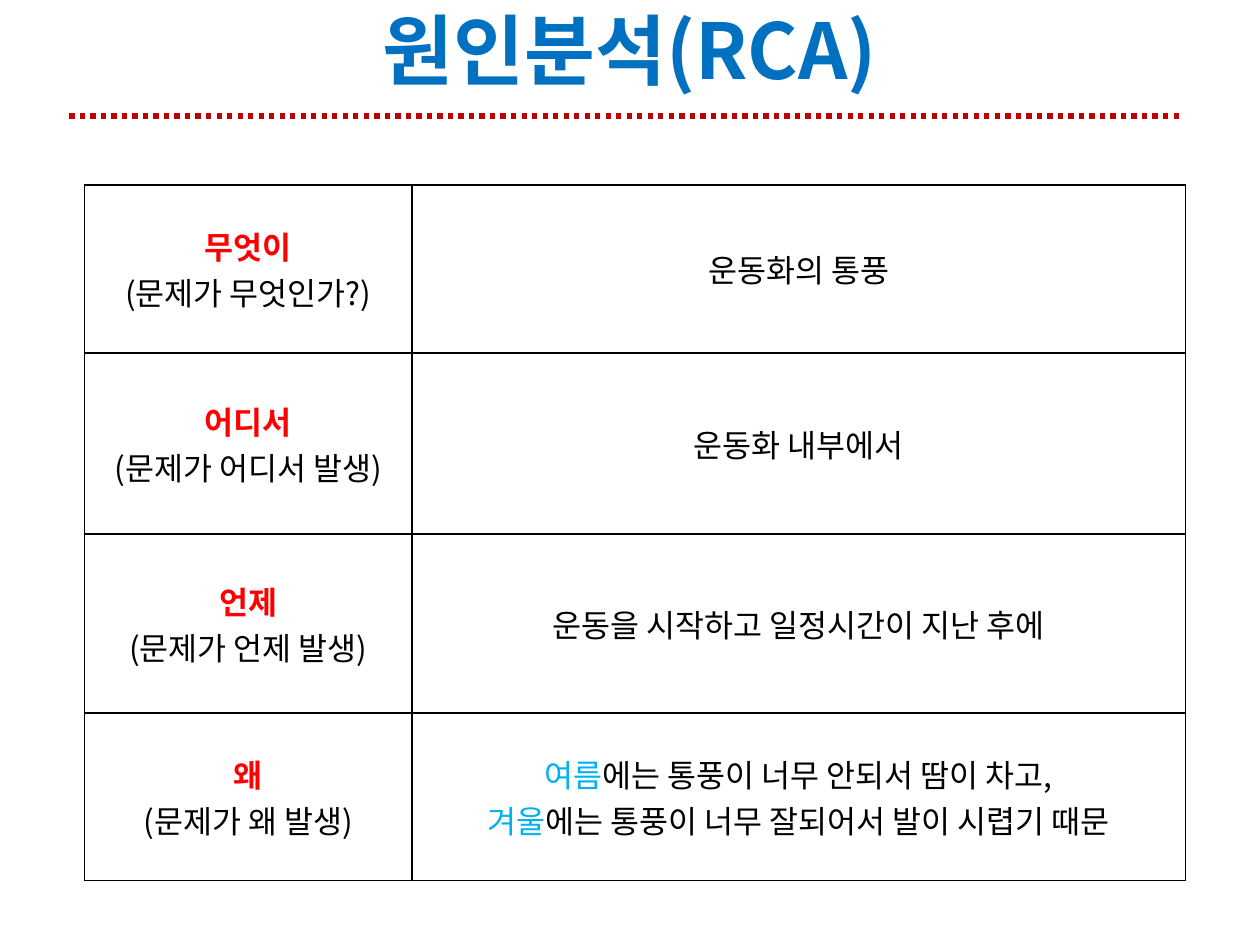
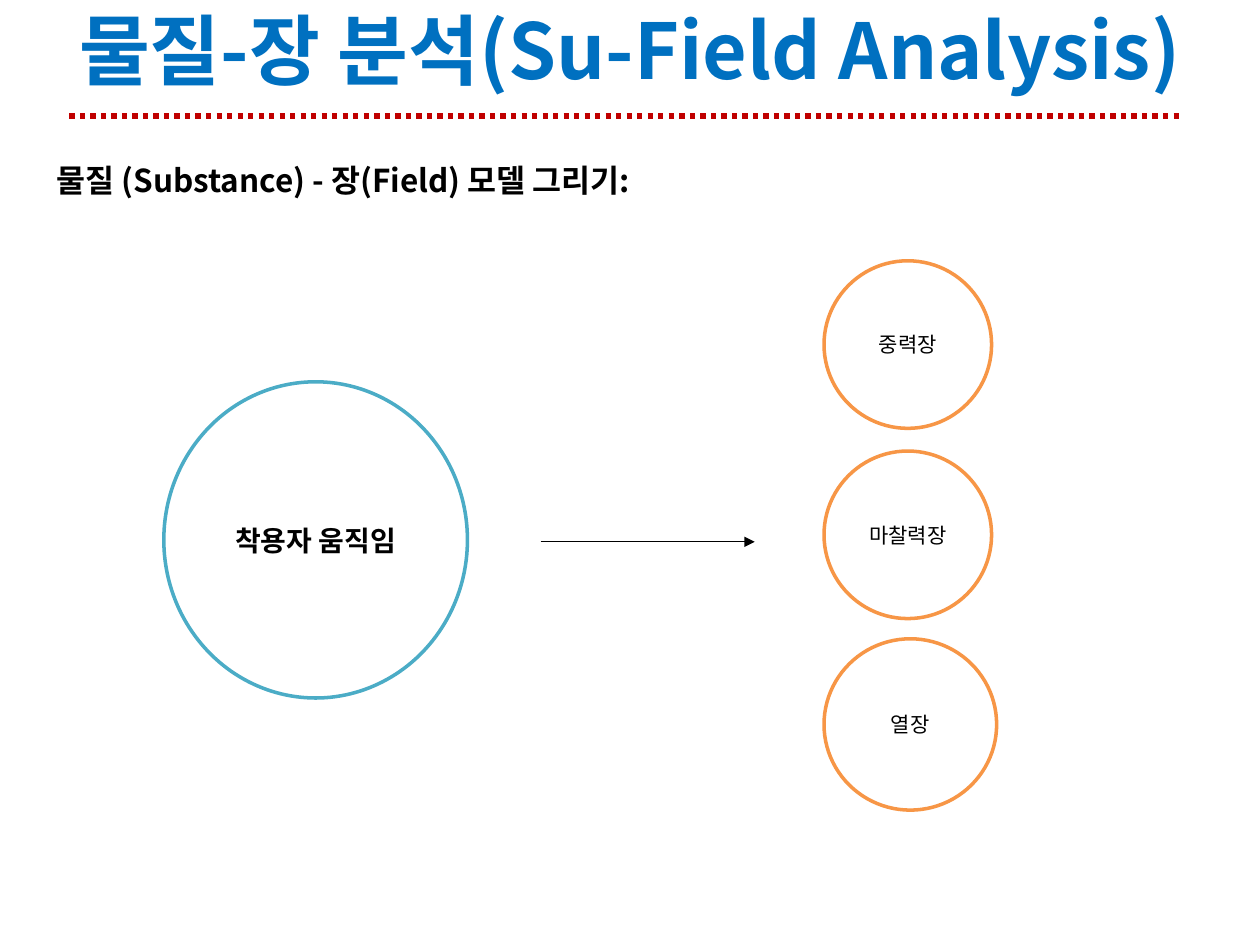
"""Build two slides: a root cause table and a substance-field model."""
from lxml.etree import SubElement
from pptx import Presentation
from pptx.dml.color import RGBColor
from pptx.enum.dml import MSO_LINE
from pptx.enum.shapes import MSO_CONNECTOR, MSO_SHAPE
from pptx.enum.text import MSO_ANCHOR, PP_ALIGN
from pptx.oxml import parse_xml
from pptx.oxml.ns import nsdecls, qn
from pptx.util import Inches, Pt

FONT = "Noto Sans CJK KR"
BLACK = RGBColor(0, 0, 0)
WHITE = RGBColor(255, 255, 255)
RED = RGBColor(255, 0, 0)
BLUE = RGBColor(0x00, 0x70, 0xC0)
SKY = RGBColor(0x00, 0xB0, 0xF0)
CRIMSON = RGBColor(0xC0, 0, 0)
ORANGE = RGBColor(0xF7, 0x96, 0x46)
TEAL = RGBColor(0x4B, 0xAC, 0xC6)


def write(frame, lines, size, align=PP_ALIGN.CENTER):
    frame.word_wrap = True
    for i, line in enumerate(lines):
        para = frame.paragraphs[0] if i == 0 else frame.add_paragraph()
        para.alignment = align
        for text, color, bold in line:
            run = para.add_run()
            run.text = text
            style = {"name": FONT, "size": Pt(size), "bold": bold}
            for key, value in style.items():
                setattr(run.font, key, value)
            run.font.color.rgb = color
            SubElement(run.font._element, qn("a:ea"), typeface=FONT)


def draw_line(slide, left, right, top, color, width):
    line = slide.shapes.add_connector(
        MSO_CONNECTOR.STRAIGHT, Inches(left), Inches(top), Inches(right), Inches(top))
    line.line.color.rgb = color
    line.line.width = Pt(width)
    SubElement(line._element.spPr, qn("a:effectLst"))
    return line.line


deck = Presentation()
deck.slide_width, deck.slide_height = Inches(10), Inches(7.5)

slides = []
for title in ("원인분석(RCA)", "물질-장 분석(Su-Field Analysis)"):
    slide = deck.slides.add_slide(deck.slide_layouts[6])
    box = slide.shapes.add_textbox(Inches(0), Inches(-0.08), Inches(10), Inches(0.94))
    box.fill.solid()
    box.fill.fore_color.rgb = WHITE
    box.text_frame.vertical_anchor = MSO_ANCHOR.MIDDLE
    write(box.text_frame, [[(title, BLUE, True)]], 44)
    draw_line(slide, 0.55, 9.38, 0.92, CRIMSON, 3).dash_style = MSO_LINE.ROUND_DOT
    slides.append(slide)
cause, model = slides

ROWS = [
    (1.33, "무엇이", "(문제가 무엇인가?)", [("", "운동화의 통풍")]),
    (1.44, "어디서", "(문제가 어디서 발생)", [("", "운동화 내부에서")]),
    (1.42, "언제", "(문제가 언제 발생)", [("", "운동을 시작하고 일정시간이 지난 후에")]),
    (1.33, "왜", "(문제가 왜 발생)", [
        ("여름", "에는 통풍이 너무 안되서 땀이 차고,"),
        ("겨울", "에는 통풍이 너무 잘되어서 발이 시렵기 때문")]),
]
table = cause.shapes.add_table(
    len(ROWS), 2, Inches(0.67), Inches(1.47), Inches(8.74), Inches(5.52)).table
table.first_row = table.horz_banding = False
for col, width in zip(table.columns, (2.6, 6.14)):
    col.width = Inches(width)
for i, (height, word, ask, reply) in enumerate(ROWS):
    table.rows[i].height = Inches(height)
    left = [[(word, RED, True)], [(ask, BLACK, False)]]
    right = [[(text, color, False) for text, color in ((key, SKY), (rest, BLACK)) if text]
             for key, rest in reply]
    for j, lines in enumerate((left, right)):
        cell = table.cell(i, j)
        cell.vertical_anchor = MSO_ANCHOR.MIDDLE
        write(cell.text_frame, lines, 18)
        for side in ("lnL", "lnR", "lnT", "lnB"):
            cell._tc.get_or_add_tcPr().append(parse_xml(
                f'<a:{side} {nsdecls("a")} w="{Pt(1)}"><a:solidFill>'
                f'<a:srgbClr val="{BLACK}"/></a:solidFill></a:{side}>'))
        cell.fill.background()

box = model.shapes.add_textbox(Inches(0.35), Inches(1.23), Inches(8.82), Inches(0.4))
write(box.text_frame, [[("물질 (Substance) - 장(Field) 모델 그리기:", BLACK, True)]],
      18, PP_ALIGN.LEFT)

arrow = draw_line(model, 4.29, 5.99, 4.3, BLACK, 0.75)
SubElement(arrow._get_or_add_ln(), qn("a:tailEnd"), type="triangle")

CIRCLES = [
    ("착용자 움직임", 1.3, 3.03, 2.41, 2.51, TEAL, 16, True),
    ("중력장", 6.54, 2.07, 1.33, 1.33, ORANGE, 12, False),
    ("마찰력장", 6.54, 3.58, 1.33, 1.33, ORANGE, 12, False),
    ("열장", 6.54, 5.07, 1.37, 1.36, ORANGE, 12, False),
]
for text, x, y, width, height, color, size, bold in CIRCLES:
    ring = model.shapes.add_shape(
        MSO_SHAPE.OVAL, Inches(x), Inches(y), Inches(width), Inches(height))
    ring.shadow.inherit = False
    ring.fill.solid()
    ring.fill.fore_color.rgb = WHITE
    ring.line.color.rgb = color
    ring.line.width = Pt(2)
    ring.text_frame.vertical_anchor = MSO_ANCHOR.MIDDLE
    write(ring.text_frame, [[(text, BLACK, bold)]], size)

deck.save("out.pptx")
